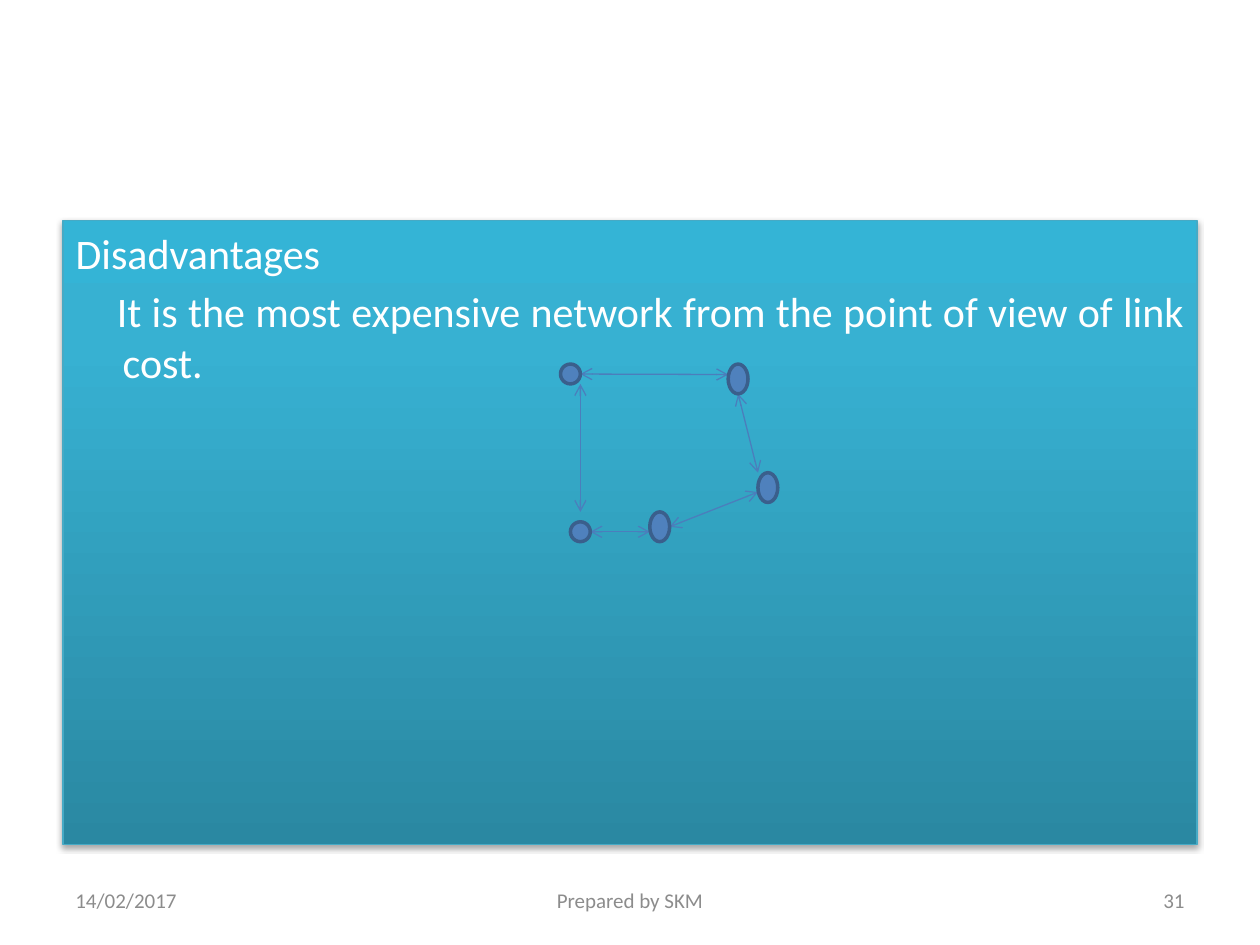
from copy import deepcopy

from lxml import etree
from pptx import Presentation
from pptx import util as u
from pptx.dml.color import RGBColor
from pptx.enum import shapes, text
from pptx.oxml.ns import qn

WHITE = RGBColor(0xFF, 0xFF, 0xFF)
GREY = RGBColor(0x8C, 0x8C, 0x8C)
EDGE = RGBColor(0x46, 0xAA, 0xC5)
NODE = RGBColor(0x4F, 0x81, 0xBD)
RIM = RGBColor(0x3A, 0x5F, 0x8C)
LINK = RGBColor(0x4B, 0x7E, 0xBC)
STOPS = [(0, RGBColor(0x2A, 0x88, 0xA2)), (0.8, RGBColor(0x37, 0xB1, 0xD2)),
         (1, RGBColor(0x34, 0xB4, 0xD6))]
FONT = "Calibri"
HANG = 0.95

# left, top, height in cm
NODES = [(11.3, 7.34, 0.4), (11.5, 10.52, 0.4), (14.68, 7.34, 0.6),
         (15.28, 9.53, 0.6), (13.1, 10.32, 0.6)]
# x and y of both ends in cm
LINKS = [(11.7, 7.54, 14.68, 7.55), (11.7, 7.74, 11.7, 10.32),
         (11.9, 10.72, 13.1, 10.72), (13.5, 10.62, 15.28, 9.92),
         (14.88, 7.94, 15.28, 9.53)]
# left, width, alignment, words
FOOT = [(1.27, 5.93, text.PP_ALIGN.LEFT, "14/02/2017"),
        (8.68, 8.04, text.PP_ALIGN.CENTER, "Prepared by SKM"),
        (18.2, 5.93, text.PP_ALIGN.RIGHT, "31")]


def add_run(para, words, size, color):
    """Add one formatted run to a paragraph."""
    run = para.add_run()
    run.text = words
    run.font.name, run.font.size = FONT, u.Pt(size)
    run.font.color.rgb = color


def add_fade(shape):
    """Fill a shape with the vertical gradient."""
    shape.fill.gradient()
    shape.fill.gradient_angle = 90
    stop_list = next(shape._element.spPr.iter(qn("a:gsLst")))
    stop_list.insert(1, deepcopy(stop_list[0]))
    for stop, (place, color) in zip(shape.fill.gradient_stops, STOPS):
        stop.position, stop.color.rgb = place, color


def add_shade(shape):
    """Give a shape a soft shadow below it."""
    shape.shadow.inherit = False
    effects = shape._element.spPr.find(qn("a:effectLst"))
    shade = etree.SubElement(effects, qn("a:outerShdw"), blurRad=str(u.Pt(3.1)),
                             dist=str(u.Pt(1.8)), dir="5400000", rotWithShape="0")
    color = etree.SubElement(shade, qn("a:srgbClr"), val="000000")
    etree.SubElement(color, qn("a:alpha"), val="35000")


def add_point(para, words, indent):
    """Write a body paragraph without a bullet."""
    props = para._p.get_or_add_pPr()
    props.set("marL", str(u.Cm(HANG)))
    props.set("indent", str(u.Cm(indent)))
    etree.SubElement(props, qn("a:buNone"))
    add_run(para, words, 24, WHITE)


def fill_body(body):
    """Place and format the body panel and its text."""
    body.left, body.top = u.Cm(1.27), u.Cm(4.45)
    body.width, body.height = u.Cm(22.86), u.Cm(12.57)
    add_fade(body)
    body.line.color.rgb, body.line.width = EDGE, u.Pt(0.75)
    add_shade(body)
    frame = body.text_frame
    frame.auto_size = text.MSO_AUTO_SIZE.NONE
    add_point(frame.paragraphs[0], "Disadvantages", -HANG)
    cost = frame.add_paragraph()
    cost.alignment = text.PP_ALIGN.JUSTIFY
    add_point(cost, "It is the most expensive network from the point of view "
              "of link cost.", -0.12)


def add_node(slide, left, top, height):
    """Draw one network node."""
    node = slide.shapes.add_shape(shapes.MSO_SHAPE.FLOWCHART_CONNECTOR, u.Cm(left),
                                  u.Cm(top), u.Cm(0.4), u.Cm(height))
    node.shadow.inherit = False
    node.fill.solid()
    node.fill.fore_color.rgb = NODE
    node.line.color.rgb, node.line.width = RIM, u.Pt(2)


def add_link(slide, *ends):
    """Draw a line with an arrowhead at both ends."""
    link = slide.shapes.add_connector(shapes.MSO_CONNECTOR.STRAIGHT,
                                      *(u.Cm(end) for end in ends))
    link.line.color.rgb, link.line.width = LINK, u.Pt(0.75)
    for tip in ("a:headEnd", "a:tailEnd"):
        etree.SubElement(link.line._get_or_add_ln(), qn(tip), type="arrow")
    etree.SubElement(link._element.spPr, qn("a:effectLst"))


def add_foot(slide, left, width, align, words):
    """Add one footer text."""
    box = slide.shapes.add_textbox(u.Cm(left), u.Cm(17.65), u.Cm(width), u.Cm(1.01))
    frame = box.text_frame
    frame.word_wrap = True
    frame.vertical_anchor = text.MSO_ANCHOR.MIDDLE
    frame.paragraphs[0].alignment = align
    add_run(frame.paragraphs[0], words, 12, GREY)


def main():
    """Build and save the slide."""
    deck = Presentation()
    deck.slide_width, deck.slide_height = u.Cm(25.4), u.Cm(19.05)
    slide = deck.slides.add_slide(deck.slide_layouts[1])
    title = slide.shapes.title._element
    title.getparent().remove(title)
    fill_body(slide.placeholders[1])
    for link in LINKS:
        add_link(slide, *link)
    for node in NODES:
        add_node(slide, *node)
    for foot in FOOT:
        add_foot(slide, *foot)
    deck.save("out.pptx")


main()
